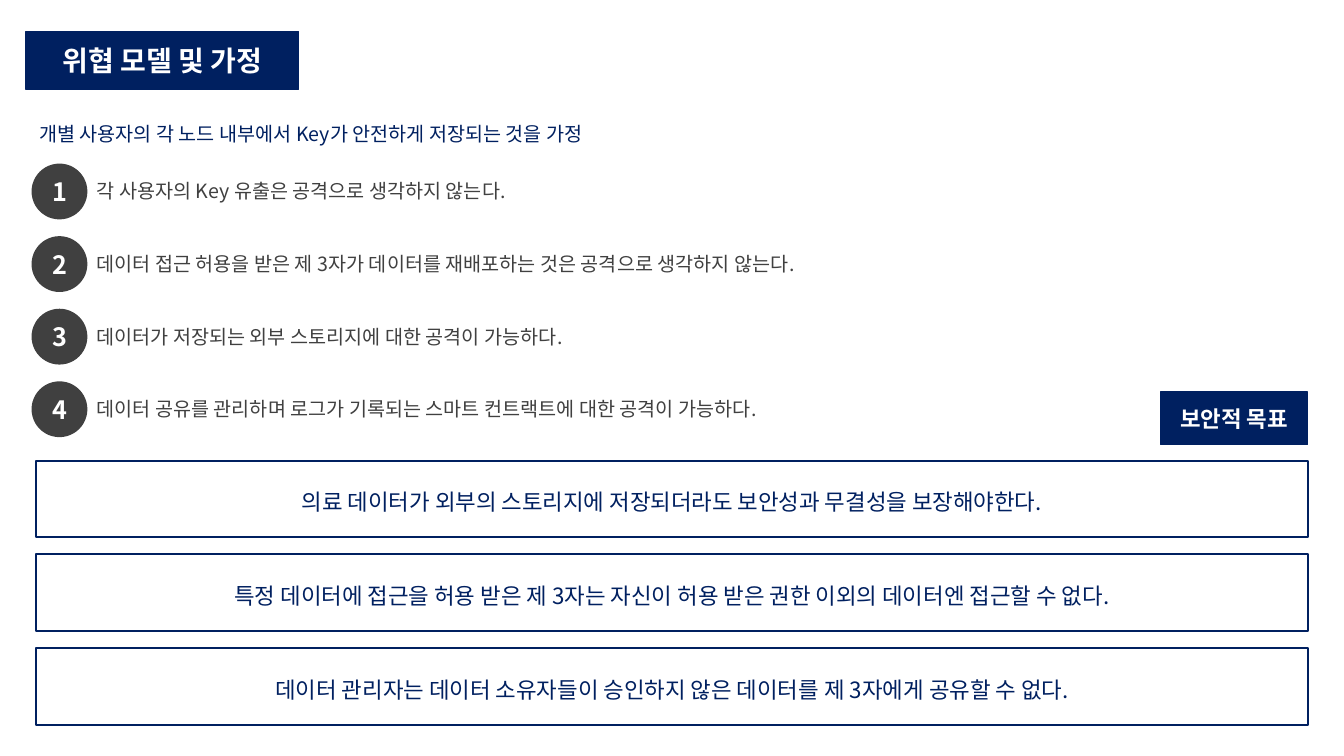
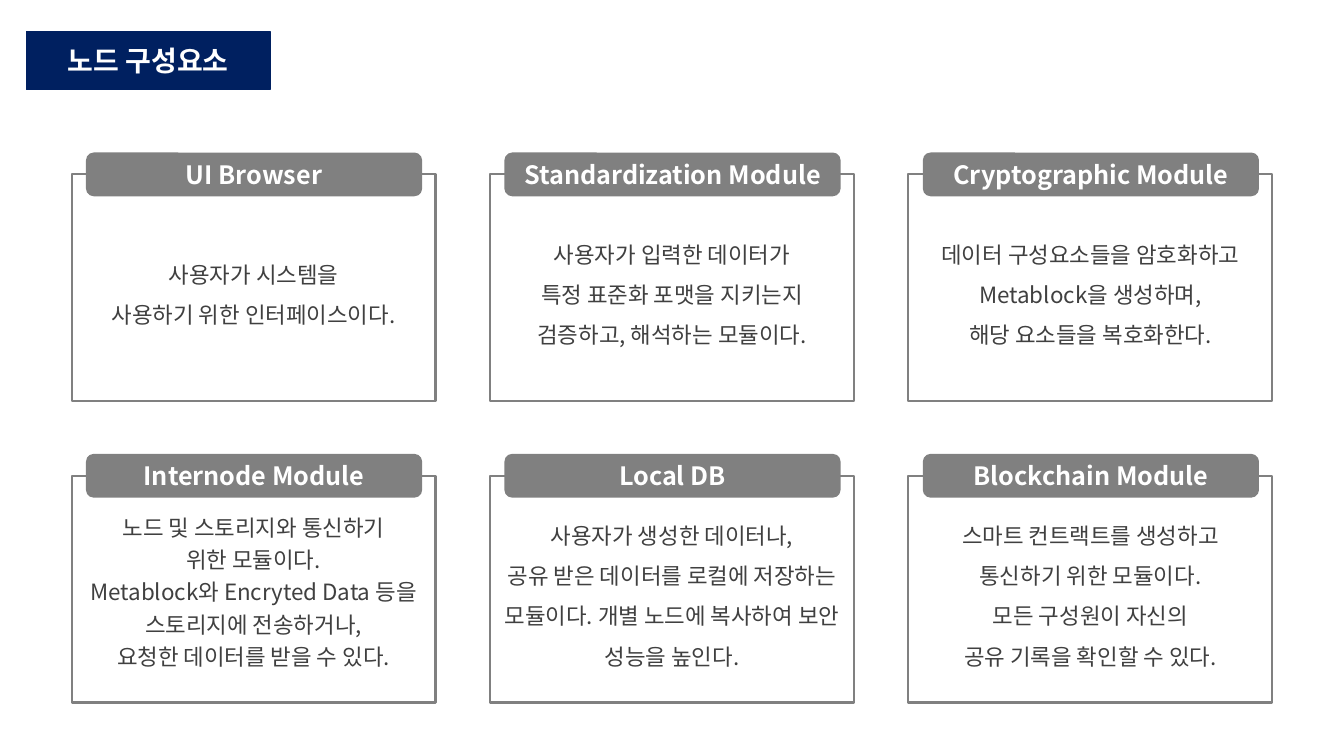
from pptx import Presentation
from pptx import util as u
from pptx.dml.color import RGBColor
from pptx.enum import shapes, text
from pptx.oxml.ns import qn

PX = 9144  # EMU per px, 100 px to the inch
FONT = "Noto Sans CJK KR"
COLORS = {"navy": "002060", "dark": "404040", "gray": "808080", "white": "FFFFFF"}
KIND = shapes.MSO_SHAPE
CENTER = text.PP_ALIGN.CENTER

STYLES = {
    "title": {"size": 20, "color": "white", "bold": True},
    "tag": {"size": 16, "color": "white", "bold": True},
    "badge": {"size": 18, "color": "white", "bold": True},
    "intro": {"size": 14, "color": "navy"},
    "item": {"size": 14, "color": "dark"},
    "goal": {"size": 16, "color": "navy"},
    "card": {"size": 16, "color": "dark"},
}

ASSUMPTIONS = [
    (466, "각 사용자의 Key 유출은 공격으로 생각하지 않는다."),
    (793, "데이터 접근 허용을 받은 제 3자가 데이터를 재배포하는 것은 공격으로 생각하지 않는다."),
    (544, "데이터가 저장되는 외부 스토리지에 대한 공격이 가능하다."),
    (749, "데이터 공유를 관리하며 로그가 기록되는 스마트 컨트랙트에 대한 공격이 가능하다."),
]

GOALS = [
    "의료 데이터가 외부의 스토리지에 저장되더라도 보안성과 무결성을 보장해야한다.",
    "특정 데이터에 접근을 허용 받은 제 3자는 자신이 허용 받은 권한 이외의 데이터엔 접근할 수 없다.",
    "데이터 관리자는 데이터 소유자들이 승인하지 않은 데이터를 제 3자에게 공유할 수 없다.",
]

MODULES = [
    ("UI Browser", 1.5, ["사용자가 시스템을", "사용하기 위한 인터페이스이다."]),
    ("Standardization Module", 1.5, [
        "사용자가 입력한 데이터가", "특정 표준화 포맷을 지키는지", "검증하고, 해석하는 모듈이다."]),
    ("Cryptographic Module", 1.5, [
        "데이터 구성요소들을 암호화하고 Metablock을 생성하며,", "해당 요소들을 복호화한다."]),
    ("Internode Module", 1.2, [
        "노드 및 스토리지와 통신하기", "위한 모듈이다.",
        "Metablock와 Encryted Data 등을 스토리지에 전송하거나,",
        "요청한 데이터를 받을 수 있다."]),
    ("Local DB", 1.5, [
        "사용자가 생성한 데이터나,",
        "공유 받은 데이터를 로컬에 저장하는 모듈이다. 개별 노드에 복사하여 보안 성능을 높인다."]),
    ("Blockchain Module", 1.5, [
        "스마트 컨트랙트를 생성하고", "통신하기 위한 모듈이다.",
        "모든 구성원이 자신의", "공유 기록을 확인할 수 있다."]),
]


def rgb(name):
    return RGBColor.from_string(COLORS[name])


def emu(*lengths):
    return [length * PX for length in lengths]


def apply(target, formats):
    for name, value in formats.items():
        setattr(target, name, value)


def write(frame, lines, style, **para_formats):
    """Fill a text frame, one paragraph a line."""
    look = STYLES[style]
    for index, line in enumerate(lines):
        para = frame.paragraphs[0] if index == 0 else frame.add_paragraph()
        apply(para, para_formats)
        span = para.add_run()
        span.text = line
        apply(span.font, {"name": FONT, "size": u.Pt(look["size"]),
                          "bold": look.get("bold", False)})
        span.font.color.rgb = rgb(look["color"])
        east_asian = span.font._element.makeelement(qn("a:ea"), {"typeface": FONT})
        span.font._element.find(qn("a:latin")).addnext(east_asian)


def add_box(parent, place, lines, style, fill, line=None, kind=KIND.RECTANGLE,
            weight=1, spacing=None):
    """Add a filled shape with centred text; the line takes the fill colour by default."""
    box = parent.shapes.add_shape(kind, *emu(*place))
    box.shadow.inherit = False
    box.fill.solid()
    box.fill.fore_color.rgb = rgb(fill)
    box.line.color.rgb = rgb(line or fill)
    box.line.width = u.Pt(weight)
    apply(box.text_frame, {"word_wrap": True, "vertical_anchor": text.MSO_ANCHOR.MIDDLE})
    write(box.text_frame, lines, style, alignment=CENTER, line_spacing=spacing)


def add_label(page, place, line, style):
    frame = page.shapes.add_textbox(*emu(*place)).text_frame
    apply(frame, {"word_wrap": False, "auto_size": text.MSO_AUTO_SIZE.SHAPE_TO_FIT_TEXT})
    write(frame, [line], style)


def add_page(deck, title, title_width):
    page = deck.slides.add_slide(deck.slide_layouts[6])
    add_box(page, (26, 31, title_width, 58), [title], "title", "navy")
    return page


def add_assumption(page, number, top, width, line):
    add_box(page, (32, top, 54, 54), [str(number)], "badge", "dark", kind=KIND.OVAL)
    add_label(page, (86, top + 10, width, 34), line, "item")


def add_card(page, left, top, heading, spacing, lines):
    """Add a framed text with its heading tab centred on the top edge."""
    card = page.shapes.add_group_shape()
    add_box(card, (left, top, 361, 225), lines, "card", "white", "gray",
            weight=1.5, spacing=spacing)
    add_box(card, (left + 15, top - 21, 332, 42), [heading], "badge", "gray",
            kind=KIND.ROUNDED_RECTANGLE)


def build_threat_model(deck):
    page = add_page(deck, "위협 모델 및 가정", 270)
    add_label(page, (29, 116, 631, 34),
              "개별 사용자의 각 노드 내부에서 Key가 안전하게 저장되는 것을 가정", "intro")
    for index, (width, line) in enumerate(ASSUMPTIONS):
        add_assumption(page, index + 1, 163 + 72 * index, width, line)
    for index, goal in enumerate(GOALS):
        add_box(page, (36, 457 + 93 * index, 1261, 76), [goal], "goal", "white", "navy",
                weight=1.5, spacing=1.2)
    add_box(page, (1151, 389, 146, 52), ["보안적 목표"], "tag", "navy")


def build_node_modules(deck):
    page = add_page(deck, "노드 구성요소", 242)
    for index, module in enumerate(MODULES):
        row, column = divmod(index, 3)
        add_card(page, 71 + 415 * column, 173 + 299 * row, *module)


def main():
    deck = Presentation()
    deck.slide_width, deck.slide_height = emu(1333, 750)
    build_threat_model(deck)
    build_node_modules(deck)
    deck.save("out.pptx")


if __name__ == "__main__":
    main()
